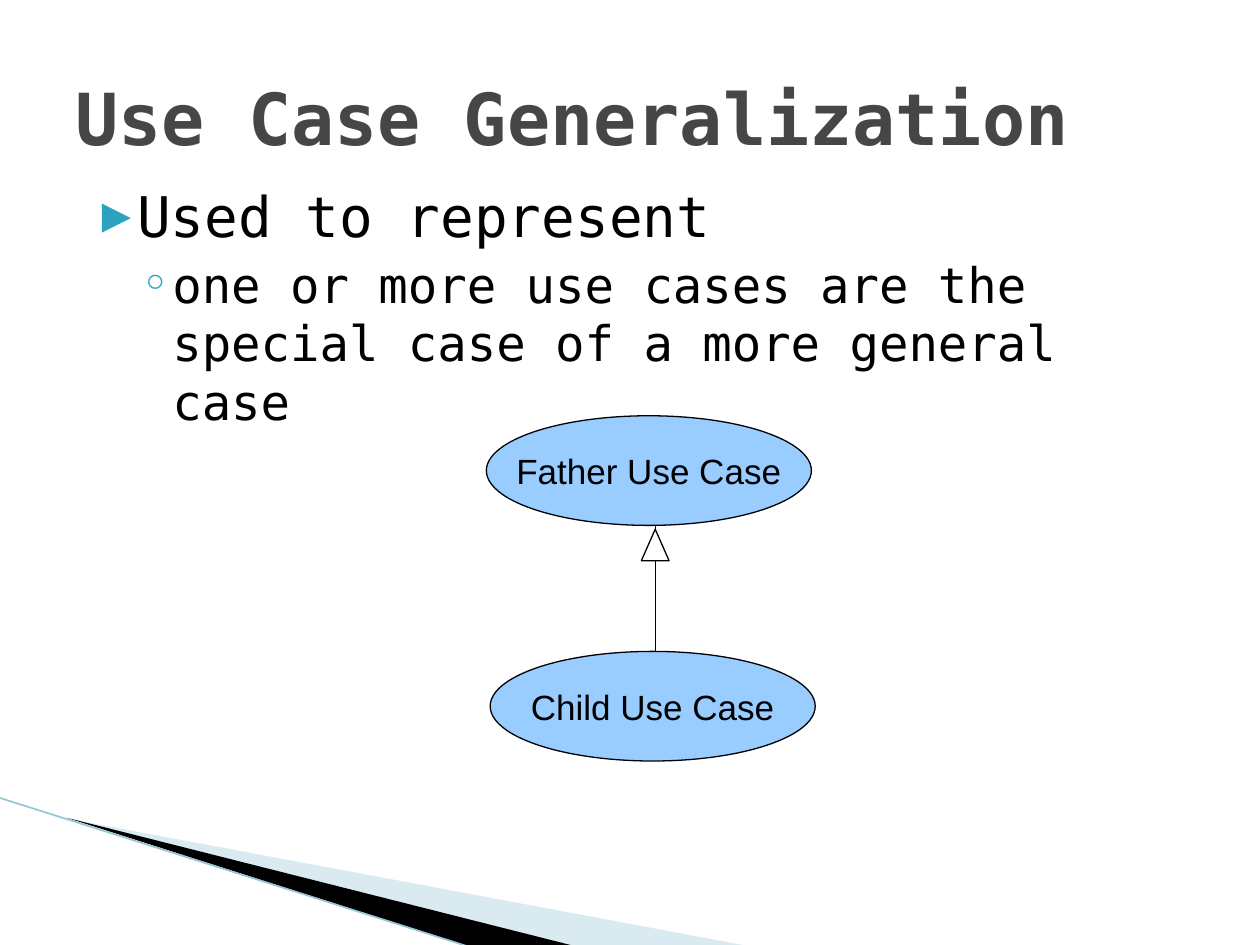
from dataclasses import dataclass

from lxml.etree import SubElement
from pptx import Presentation
from pptx.dml.color import RGBColor
from pptx.enum.shapes import MSO_CONNECTOR, MSO_SHAPE
from pptx.enum.text import MSO_ANCHOR, PP_ALIGN
from pptx.oxml.ns import qn
from pptx.util import Inches, Pt


@dataclass(frozen=True)
class Theme:
    """Colours, fonts and type sizes of the slide."""
    ink: str = "000000"
    head: str = "464646"
    mark: str = "2DA2BF"
    oval: str = "99CCFF"
    paper: str = "FFFFFF"
    pale: str = "A0CBDC"
    edge: str = "97C5D8"
    mono: str = "DejaVu Sans Mono"
    sans: str = "Arial"
    title: int = 41
    main: int = 32
    sub: int = 28
    label: int = 20


THEME = Theme()


def rgb(code):
    """Turn a hex code into a colour."""
    return RGBColor.from_string(code)


def write(para, text, size, font=THEME.mono, color=THEME.ink, bold=False,
          before=0, align=PP_ALIGN.LEFT):
    """Write formatted text into a paragraph."""
    para.alignment = align
    para.space_before = Pt(before)
    run = para.add_run()
    run.text = text
    run.font.name = font
    run.font.size = Pt(size)
    run.font.bold = bold
    run.font.color.rgb = rgb(color)


def bullet(para, char, left, hang, scale=100):
    """Give a paragraph a coloured bullet and a hanging indent."""
    props = para._p.get_or_add_pPr()
    props.set("marL", str(Inches(left)))
    props.set("indent", str(-Inches(hang)))
    tint = SubElement(props, qn("a:buClr"))
    SubElement(tint, qn("a:srgbClr"), val=THEME.mark)
    SubElement(props, qn("a:buSzPct"), val=str(scale * 1000))
    SubElement(props, qn("a:buFont"), typeface="DejaVu Sans")
    SubElement(props, qn("a:buChar"), char=char)


def frame(slide, box, anchor):
    """Add a wrapping text box and return its text frame."""
    text = slide.shapes.add_textbox(*map(Inches, box)).text_frame
    text.word_wrap = True
    text.vertical_anchor = anchor
    return text


def paint(shape, fill, line=None):
    """Set the fill and outline of a shape without a shadow."""
    shape.shadow.inherit = False
    shape.fill.solid()
    shape.fill.fore_color.rgb = rgb(fill)
    if line:
        shape.line.color.rgb = rgb(line)
        shape.line.width = Pt(0.75)
    else:
        shape.line.fill.background()


def link(slide, start, end, color, width):
    """Draw a straight line between two points."""
    line = slide.shapes.add_connector(
        MSO_CONNECTOR.STRAIGHT, *map(Inches, start + end))
    line.line.color.rgb = rgb(color)
    line.line.width = Pt(width)
    SubElement(line._element.spPr, qn("a:effectLst"))


def wedge(slide, points, fill, alpha=100):
    """Draw a filled polygon through the points."""
    first, *rest = [tuple(map(Inches, point)) for point in points]
    pen = slide.shapes.build_freeform(*first)
    pen.add_line_segments(rest)
    shape = pen.convert_to_shape()
    paint(shape, fill)
    if alpha < 100:
        tint = shape._element.spPr.find(qn("a:solidFill"))[0]
        SubElement(tint, qn("a:alpha"), val=str(alpha * 1000))


def corner(slide, box):
    """Draw the swoosh in the lower left corner."""
    left, top, wide, high = box
    right, low = left + wide, top + high
    wedge(slide, [(0.55, 6.5), (right, low), (4.56, low)], THEME.pale, 40)
    wedge(slide, [(0.53, 6.49), (4.57, low), (3.72, low)], THEME.ink)
    link(slide, (left, top), (3.71, low), THEME.edge, 0.95)


def title(slide, box):
    """Place the slide title."""
    text = frame(slide, box, MSO_ANCHOR.MIDDLE)
    write(text.paragraphs[0], "Use Case Generalization", THEME.title,
          color=THEME.head, bold=True)


def body(slide, box):
    """Place the two bulleted levels."""
    text = frame(slide, box, MSO_ANCHOR.TOP)
    para = text.paragraphs[0]
    write(para, "Used to represent", THEME.main, before=4)
    bullet(para, "▶", 0.4, 0.28, 68)
    para = text.add_paragraph()
    para.level = 1
    write(para, "one or more use cases are the special case of "
          "a more general case", THEME.sub, before=3.2)
    bullet(para, "◦", 0.68, 0.25)


def case(slide, box, name):
    """Draw one use case oval with its name."""
    oval = slide.shapes.add_shape(MSO_SHAPE.OVAL, *map(Inches, box))
    paint(oval, THEME.oval, THEME.ink)
    text = oval.text_frame
    text.word_wrap = False
    text.vertical_anchor = MSO_ANCHOR.MIDDLE
    write(text.paragraphs[0], name, THEME.label, font=THEME.sans,
          before=4, align=PP_ALIGN.CENTER)


def diagram(slide, box):
    """Draw the child use case pointing at its father."""
    left, top, wide, high = box
    oval = (2.58, 0.87)
    base, mid = top + high - oval[1], left + 1.34
    case(slide, (left, top, *oval), "Father Use Case")
    link(slide, (mid, base), (mid, top + oval[1]), THEME.ink, 0.75)
    tip = slide.shapes.add_shape(
        MSO_SHAPE.ISOSCELES_TRIANGLE,
        *map(Inches, (mid - 0.11, top + 0.9, 0.22, 0.25)))
    paint(tip, THEME.paper, THEME.ink)
    case(slide, (left + wide - oval[0], base, *oval), "Child Use Case")


def main():
    """Build and save the slide."""
    deck = Presentation()
    deck.slide_width, deck.slide_height = Inches(10), Inches(7.5)
    slide = deck.slides.add_slide(deck.slide_layouts[6])
    corner(slide, (-0.01, 6.33, 5.96, 1.18))
    body(slide, (0.59, 1.39, 8.5, 5.5))
    title(slide, (0.5, 0.3, 9, 1.25))
    diagram(slide, (3.86, 3.3, 2.61, 2.74))
    deck.save("out.pptx")


if __name__ == "__main__":
    main()
